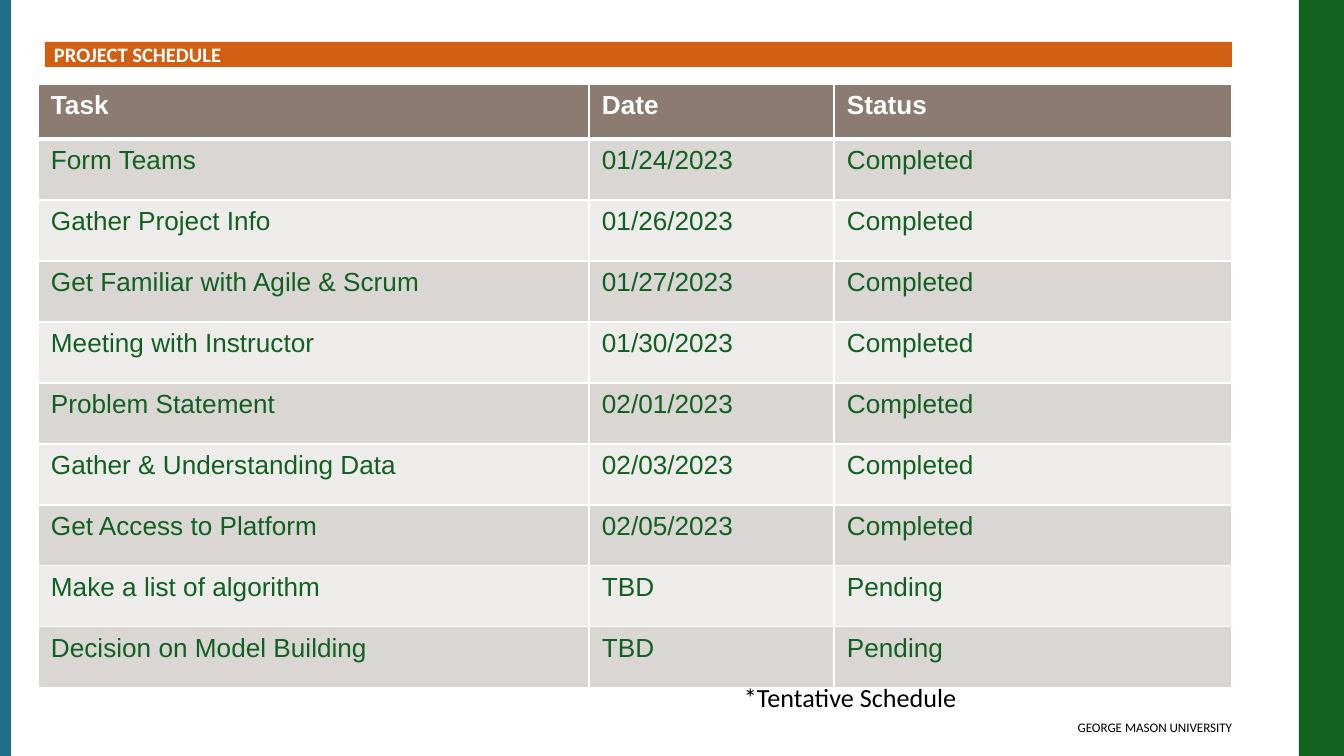
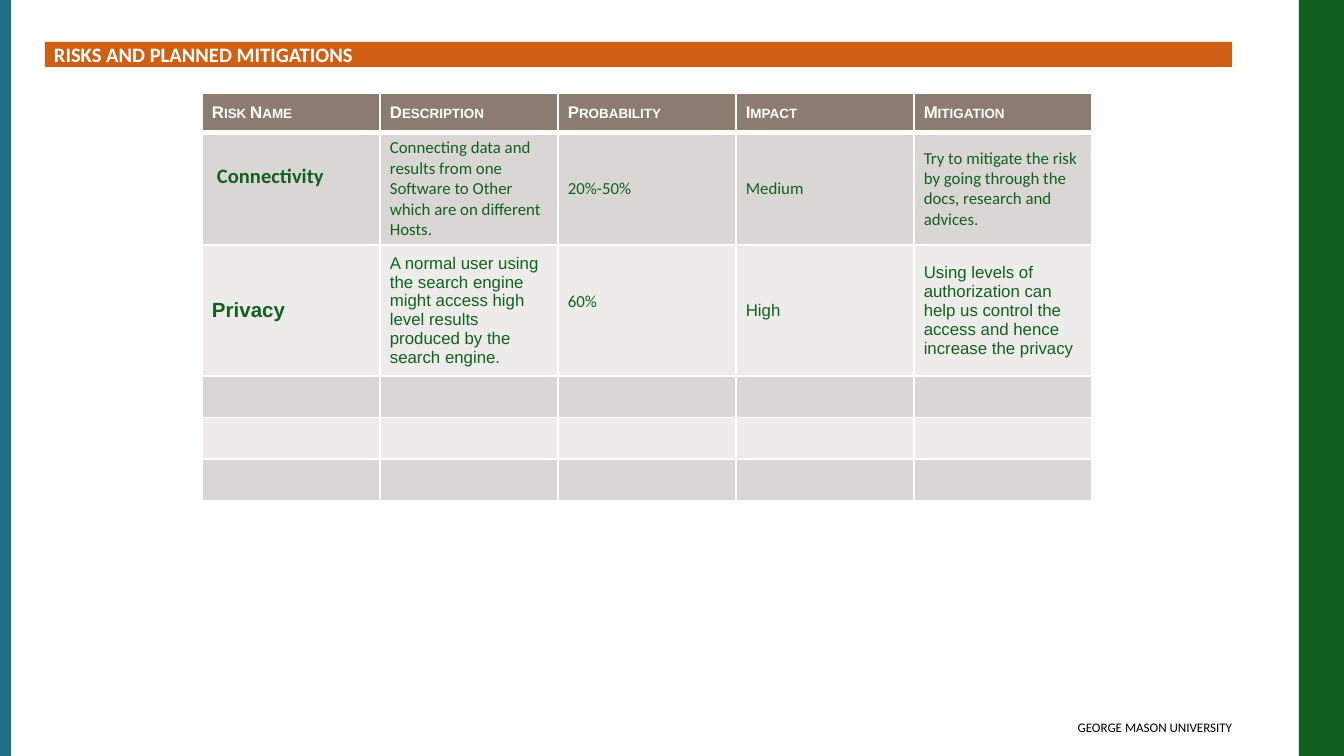
from lxml import etree
from pptx import Presentation
from pptx.dml.color import RGBColor
from pptx.enum.shapes import MSO_SHAPE
from pptx.enum.text import MSO_ANCHOR, PP_ALIGN
from pptx.oxml.ns import qn
from pptx.util import Emu, Pt

RECT = MSO_SHAPE.RECTANGLE
TOP, MIDDLE = MSO_ANCHOR.TOP, MSO_ANCHOR.MIDDLE
LEFT, RIGHT = PP_ALIGN.LEFT, PP_ALIGN.RIGHT

WIDE, HIGH = 1344, 756
SCALE = 9144000 / WIDE

COLORS = {
    "white": "FFFFFF", "black": "000000", "green": "116020", "teal": "1E6E86",
    "orange": "D05F14", "head": "8C7B70", "dark": "DAD6D4", "light": "EDECEB",
}

TASKS = [
    ("Task", "Date", "Status"),
    ("Form Teams", "01/24/2023", "Completed"),
    ("Gather Project Info", "01/26/2023", "Completed"),
    ("Get Familiar with Agile & Scrum", "01/27/2023", "Completed"),
    ("Meeting with Instructor", "01/30/2023", "Completed"),
    ("Problem Statement", "02/01/2023", "Completed"),
    ("Gather & Understanding Data", "02/03/2023", "Completed"),
    ("Get Access to Platform", "02/05/2023", "Completed"),
    ("Make a list of algorithm", "TBD", "Pending"),
    ("Decision on Model Building", "TBD", "Pending"),
]

RISKS = [
    ("Risk Name", "Description", "Probability", "Impact", "Mitigation"),
    ("Connectivity",
     "Connecting data and results from one Software to Other which are on "
     "different Hosts.",
     "20%-50%", "Medium",
     "Try to mitigate the risk by going through the docs, research and advices."),
    ("Privacy",
     "A normal user using the search engine might access high level results "
     "produced by the search engine.",
     "60%", "High",
     "Using levels of authorization can help us control the access and hence "
     "increase the privacy"),
] + [("",) * 5] * 3


def px(n):
    return Emu(round(n * SCALE))


def rgb(name):
    return RGBColor.from_string(COLORS[name])


# Text and shapes
def write(frame, text, size=14, font="Calibri", color="black", bold=False,
          small=False, align=LEFT):
    par = frame.paragraphs[0]
    par.alignment = align
    if not text:
        etree.SubElement(par._p, qn("a:endParaRPr"), sz=str(size * 100))
        return
    run = par.add_run()
    run.text = text
    face = run.font
    face.size, face.name, face.bold = Pt(size), font, bold
    face.color.rgb = rgb(color)
    if small:
        run._r.get_or_add_rPr().set("cap", "small")


def inset(item, left, top, right, bottom):
    item.margin_left, item.margin_top = px(left), px(top)
    item.margin_right, item.margin_bottom = px(right), px(bottom)


def bar(slide, x, y, w, h, color):
    shape = slide.shapes.add_shape(RECT, px(x), px(y), px(w), px(h))
    shape.shadow.inherit = False
    shape.fill.solid()
    shape.fill.fore_color.rgb = rgb(color)
    shape.line.fill.background()
    return shape


def label(slide, x, y, w, h, text, pad, **style):
    frame = slide.shapes.add_textbox(px(x), px(y), px(w), px(h)).text_frame
    frame.word_wrap = True
    frame.vertical_anchor = TOP
    inset(frame, *pad)
    write(frame, text, **style)


# Tables
def edge(cell, side, width):
    line = etree.SubElement(cell._tc.get_or_add_tcPr(), qn("a:ln" + side),
                            w=str(Pt(width)))
    fill = etree.SubElement(line, qn("a:solidFill"))
    etree.SubElement(fill, qn("a:srgbClr"), val=COLORS["white"])


def grid(slide, x, y, cols, rows, data, style, pad, anchor):
    """Draw data as a banded table; style(row, col) gives the text format."""
    table = slide.shapes.add_table(len(rows), len(cols), px(x), px(y),
                                   px(sum(cols)), px(sum(rows))).table
    for col, width in zip(table.columns, cols):
        col.width = px(width)
    for row, height in zip(table.rows, rows):
        row.height = px(height)
    for r, texts in enumerate(data):
        for c, text in enumerate(texts):
            cell = table.cell(r, c)
            cell.vertical_anchor = anchor
            inset(cell, *pad(r, c))
            for side in "LRTB":
                thick = (r, side) in ((0, "B"), (1, "T"))
                edge(cell, side, 3 if thick else 1)
            cell.fill.solid()
            band = "dark" if r % 2 else "light"
            cell.fill.fore_color.rgb = rgb(band if r else "head")
            write(cell.text_frame, text, **style(r, c))


def task_style(r, c):
    return dict(font="Arial", color="green" if r else "white", bold=r == 0)


def task_pad(r, c):
    return 13, 7, 13, 7


def risk_style(r, c):
    if r == 0:
        return dict(size=9, font="Arial", color="white", bold=True, small=True)
    if r > 2:
        return dict(size=14)
    plain = r == 1 or c == 2
    return dict(size=9 if c else 11, font="Calibri" if plain else "Arial",
                color="green", bold=c == 0)


def risk_pad(r, c):
    # Two cells sit a little above the middle of their row
    lift = {(1, 0): 26, (2, 2): 18}.get((r, c), 0)
    return 15 if (r, c) == (1, 0) else 10, 5, 10, 5 + lift


# Parts that both slides share
def page(deck, title):
    slide = deck.slides.add_slide(deck.slide_layouts[6])
    bar(slide, 1299, 0, 45, HIGH, "green")
    bar(slide, 0, 0, 11, HIGH, "teal")
    label(slide, 683, 714, 549, 34, "GEORGE MASON UNIVERSITY", (9, 5, 0, 5),
          size=7, align=RIGHT)
    frame = bar(slide, 45, 42, 1187, 25, "orange").text_frame
    frame.vertical_anchor = MIDDLE
    inset(frame, 9, 0, 9, 0)
    write(frame, title, size=11, color="white", bold=True)
    return slide


def main():
    deck = Presentation()
    deck.slide_width, deck.slide_height = px(WIDE), px(HIGH)

    # Schedule
    slide = page(deck, "PROJECT SCHEDULE")
    label(slide, 731, 668, 285, 59, "*Tentative Schedule", (13, 13, 13, 13))
    grid(slide, 38, 84, [551, 245, 398], [55] + [61] * 9, TASKS,
         task_style, task_pad, TOP)

    # Risks
    slide = page(deck, "RISKS AND PLANNED MITIGATIONS")
    grid(slide, 202, 93, [178] * 5, [40, 112, 123] + [41] * 3, RISKS,
         risk_style, risk_pad, MIDDLE)

    deck.save("out.pptx")


if __name__ == "__main__":
    main()
